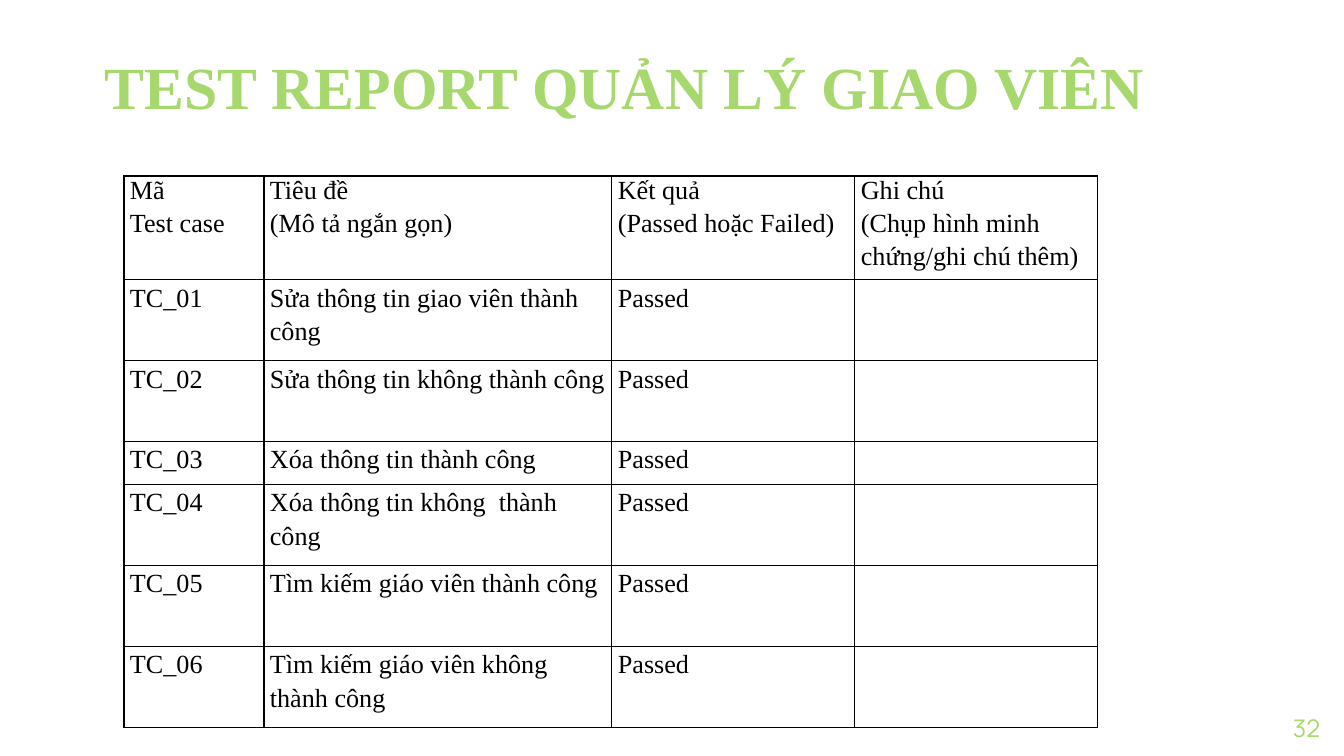
import pptx
import pptx.dml.color
import pptx.enum.text
import pptx.oxml
import pptx.oxml.ns
import pptx.util

PX = 914400 / 134.4  # EMU in one px
COLORS = {"green": "A7D86D", "black": "000000"}
SERIF = "Times New Roman"
ANCHOR = pptx.enum.text.MSO_ANCHOR
ALIGN = pptx.enum.text.PP_ALIGN

TITLE = {"name": SERIF, "size": pptx.util.Pt(32), "bold": True}
NUMBER = {"name": "Manrope", "size": pptx.util.Pt(13)}
BODY = {"name": SERIF, "size": pptx.util.Pt(14), "bold": False}

COLUMNS = [140, 348, 243, 243]
ROW_HEIGHTS = [101, 81, 81, 43, 81, 81, 81]
HEADERS = [
    ["Mã", "Test case"],
    ["Tiêu đề", "(Mô tả ngắn gọn)"],
    ["Kết quả", "(Passed hoặc Failed)"],
    ["Ghi chú", "(Chụp hình minh chứng/ghi chú thêm)"],
]
CASES = [
    "Sửa thông tin giao viên thành công",
    "Sửa thông tin không thành công",
    "Xóa thông tin thành công",
    "Xóa thông tin không  thành công",
    "Tìm kiếm giáo viên thành công",
    "Tìm kiếm giáo viên không thành công",
]


def px(n):
    return pptx.util.Emu(round(n * PX))


def add_run(p, text, style, color):
    r = p.add_run()
    r.text = text
    for key, value in style.items():
        setattr(r.font, key, value)
    r.font.color.rgb = pptx.dml.color.RGBColor.from_string(COLORS[color])


def set_margins(box, side):
    margins = {"margin_left": px(side), "margin_right": px(side),
               "margin_top": 0, "margin_bottom": 0}
    for key, value in margins.items():
        setattr(box, key, value)


def add_text(slide, box, text, style, anchor, align):
    tf = slide.shapes.add_textbox(*map(px, box)).text_frame
    set_margins(tf, 0)
    tf.word_wrap = True
    tf.vertical_anchor = anchor
    p = tf.paragraphs[0]
    p.alignment = align
    add_run(p, text, style, "green")


def add_borders(cell):
    tc_pr = cell._tc.get_or_add_tcPr()
    for side in ("lnL", "lnR", "lnT", "lnB"):
        tc_pr.append(pptx.oxml.parse_xml(
            f'<a:{side} {pptx.oxml.ns.nsdecls("a")} w="{pptx.util.Pt(0.75)}">'
            f'<a:solidFill><a:srgbClr val="{COLORS["black"]}"/></a:solidFill>'
            f'</a:{side}>'))


def fill_cell(cell, lines, is_header):
    set_margins(cell, 6)
    add_borders(cell)
    cell.fill.background()
    tf = cell.text_frame
    for i, line in enumerate(lines):
        p = tf.add_paragraph() if i else tf.paragraphs[0]
        # The first header line is set tight
        if i or not is_header:
            p.line_spacing = 1.15
        add_run(p, line, BODY, "black")


def add_report(slide, left, top, rows):
    frame = slide.shapes.add_table(
        len(rows), len(COLUMNS), px(left), px(top),
        px(sum(COLUMNS)), px(sum(ROW_HEIGHTS)))
    table = frame.table
    table.first_row = table.horz_banding = False
    for column, width in zip(table.columns, COLUMNS):
        column.width = px(width)
    for i, (row, height) in enumerate(zip(table.rows, ROW_HEIGHTS)):
        row.height = px(height)
        for cell, lines in zip(row.cells, rows[i]):
            fill_cell(cell, lines, i == 0)


def main():
    prs = pptx.Presentation()
    prs.slide_width, prs.slide_height = px(1344), px(756)
    slide = prs.slides.add_slide(prs.slide_layouts[6])

    # Page number and title
    add_text(slide, (1239, 699, 81, 58), "32", NUMBER,
             ANCHOR.MIDDLE, ALIGN.RIGHT)
    add_text(slide, (105, 42, 1176, 79), "TEST REPORT QUẢN LÝ GIAO VIÊN",
             TITLE, ANCHOR.BOTTOM, ALIGN.LEFT)

    # Test results, with the notes column left empty
    rows = [[[f"TC_{n:02}"], [case], ["Passed"], []]
            for n, case in enumerate(CASES, 1)]
    add_report(slide, 124, 176, [HEADERS] + rows)

    prs.save("out.pptx")


if __name__ == "__main__":
    main()
